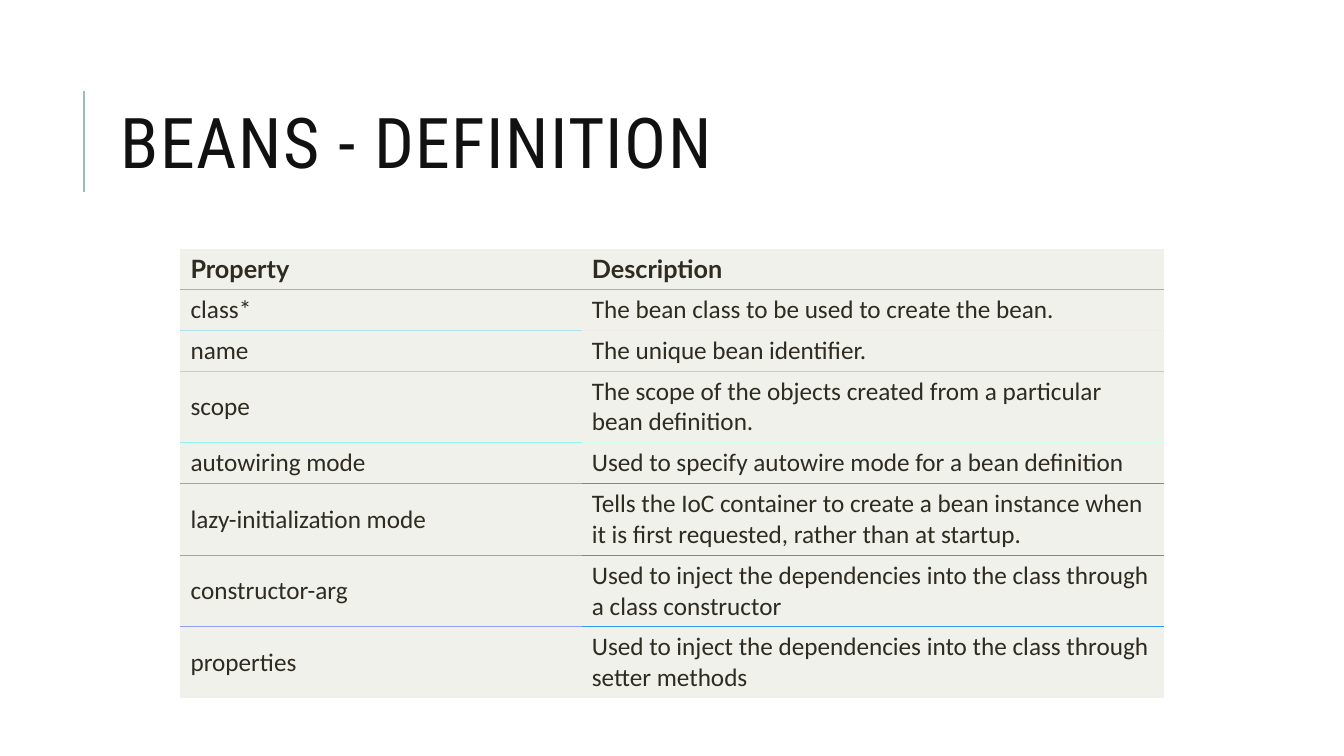
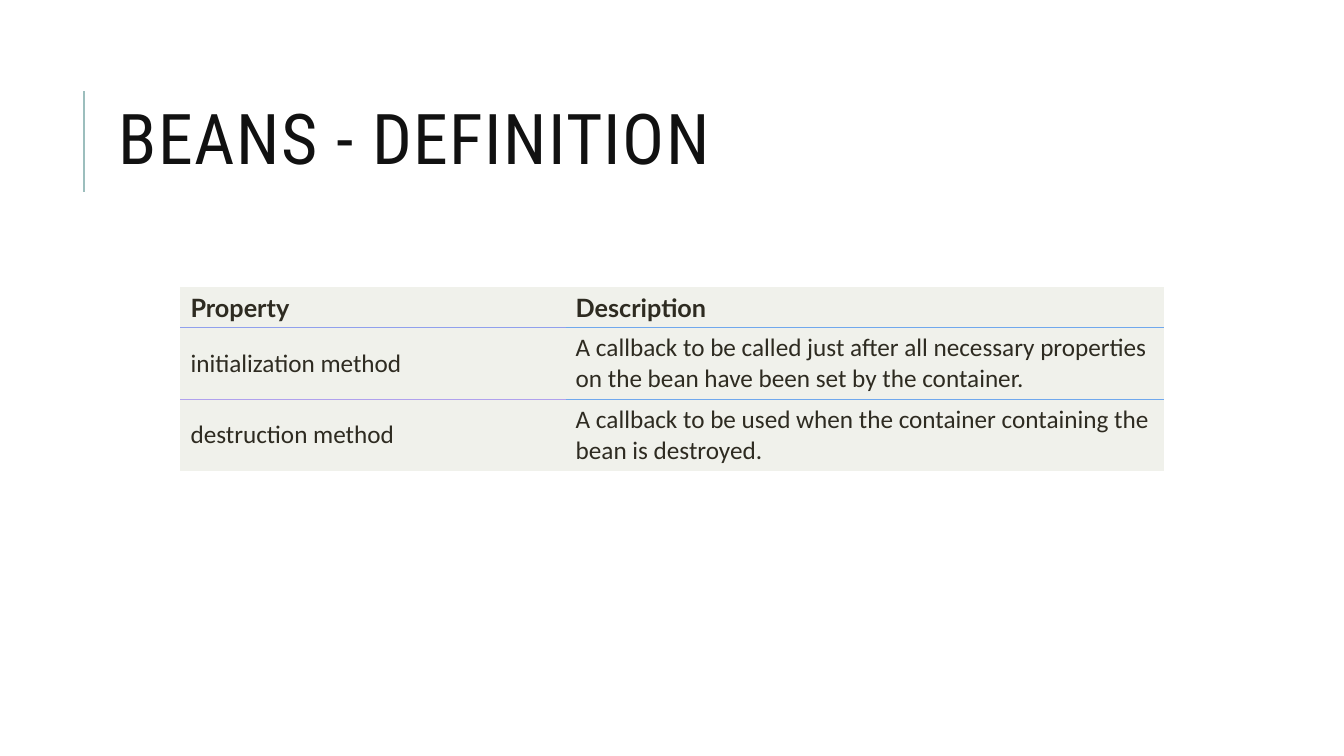
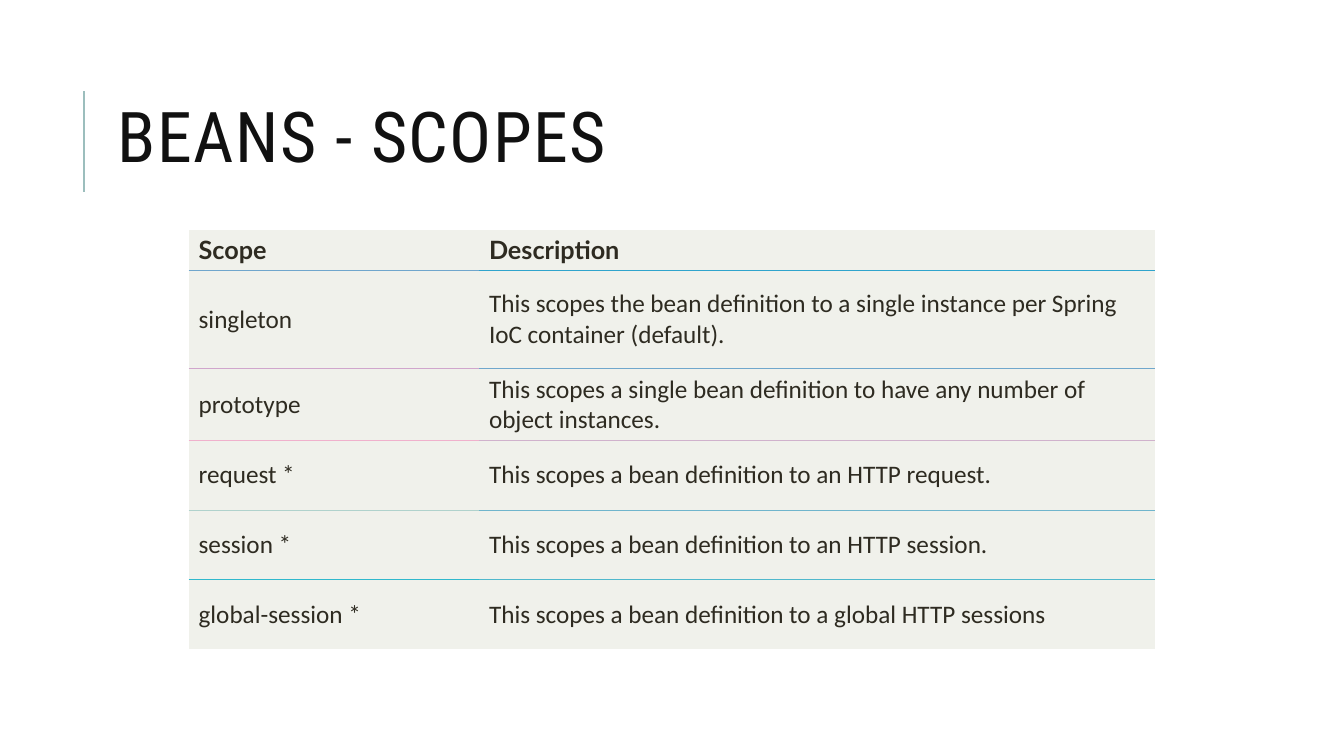
from lxml.etree import SubElement
from pptx import Presentation
from pptx.dml.color import RGBColor
from pptx.enum.shapes import MSO_CONNECTOR
from pptx.enum.text import MSO_ANCHOR, MSO_AUTO_SIZE, PP_ALIGN
from pptx.oxml import parse_xml
from pptx.oxml.ns import nsdecls, qn
from pptx.util import Inches, Pt

COLORS = {"title": "111111", "text": "2E2B21", "cell": "F0F1EB", "bar": "9CBEBD"}
TITLE_FONT, HEADER_FONT, BODY_FONT = "Roboto Condensed", "Lato", "Calibri"
NO_STYLE = "{2D5ABB26-0587-4C30-8999-92F81FD0307C}"
ONE_LINE, TWO_LINES = 0.4, 0.71

# "rules" holds the left and right colour of the line below each row but the last.
SLIDES = [
    {
        "title": "BEANS - DEFINITION",
        "title_at": (1.1, 1.02),
        "table_at": (1.79, 2.47),
        "columns": (3.98, 5.77),
        "rows": [
            (ONE_LINE, "Property", "Description"),
            (ONE_LINE, "class*", "The bean class to be used to create the bean."),
            (ONE_LINE, "name", "The unique bean identifier."),
            (TWO_LINES, "scope",
             "The scope of the objects created from a particular bean definition."),
            (ONE_LINE, "autowiring mode",
             "Used to specify autowire mode for a bean definition"),
            (TWO_LINES, "lazy-initialization mode",
             "Tells the IoC container to create a bean instance when it is first "
             "requested, rather than at startup."),
            (TWO_LINES, "constructor-arg",
             "Used to inject the dependencies into the class through a class constructor"),
            (TWO_LINES, "properties",
             "Used to inject the dependencies into the class through setter methods"),
        ],
        "rules": [
            ("30E2EC", "30E2EC"), ("B0E1EC", "F0EAEC"), ("70F5EC", "70F1EC"),
            ("90F5EC", "D0FFEC"), ("909EED", "309CED"), ("909EED", "309CED"),
            ("909EED", "309CED"),
        ],
    },
    {
        "title": "BEANS - DEFINITION",
        "title_at": (1.08, 0.98),
        "table_at": (1.79, 2.85),
        "columns": (3.82, 5.93),
        "rows": [
            (ONE_LINE, "Property", "Description"),
            (TWO_LINES, "initialization method",
             "A callback to be called just after all necessary properties on the bean "
             "have been set by the container."),
            (TWO_LINES, "destruction method",
             "A callback to be used when the container containing the bean is destroyed."),
        ],
        "rules": [("90A0ED", "70A8ED"), ("B0A1ED", "70A8ED")],
    },
    {
        "title": "BEANS - SCOPES",
        "title_at": (1.07, 0.96),
        "table_at": (1.87, 2.28),
        "columns": (2.88, 6.71),
        "rows": [
            (0.39, "Scope", "Description"),
            (0.98, "singleton",
             "This scopes the bean definition to a single instance per Spring IoC "
             "container (default)."),
            (0.69, "prototype",
             "This scopes a single bean definition to have any number of object instances."),
            (0.69, "request *", "This scopes a bean definition to an HTTP request."),
            (0.69, "session *", "This scopes a bean definition to an HTTP session."),
            (0.69, "global-session *",
             "This scopes a bean definition to a global HTTP sessions"),
        ],
        "rules": [
            ("70A6CC", "30A4CC"), ("D0A6CC", "70A7CC"), ("F0B1CC", "D0B2CC"),
            ("B0D2CC", "70B5CC"), ("30B8CC", "50B8CC"),
        ],
    },
]


def rgb(name):
    return RGBColor.from_string(COLORS[name])


def add_bar(slide):
    bar = slide.shapes.add_connector(
        MSO_CONNECTOR.STRAIGHT, Inches(0.83), Inches(1.9), Inches(0.83), Inches(0.9))
    bar.line.color.rgb = rgb("bar")
    bar.line.width = Pt(1.5)
    SubElement(bar._element.spPr, qn("a:effectLst"))


def set_title(slide, text, at):
    title = slide.shapes.title
    title.left, title.top = map(Inches, at)
    title.width, title.height = Inches(10.63), Inches(1.64)
    tf = title.text_frame
    tf.text = text
    tf.auto_size = MSO_AUTO_SIZE.NONE
    tf.vertical_anchor = MSO_ANCHOR.TOP
    tf.margin_top = Inches(0.12)
    p = tf.paragraphs[0]
    p.alignment = PP_ALIGN.LEFT
    p.line_spacing = 0.8
    p.font.name, p.font.size = TITLE_FONT, Pt(50)
    p.font.color.rgb = rgb("title")
    p.runs[0].font._element.set("spc", "100")


def set_border(cell, side, color):
    """Put a thin line on a cell; call for lnT before lnB, and before filling."""
    cell._tc.get_or_add_tcPr().append(parse_xml(
        f'<a:{side} {nsdecls("a")} w="{Pt(0.75)}"><a:solidFill>'
        f'<a:srgbClr val="{color}"/></a:solidFill></a:{side}>'))


def format_cell(cell, text, is_header):
    cell.fill.solid()
    cell.fill.fore_color.rgb = rgb("cell")
    cell.vertical_anchor = MSO_ANCHOR.MIDDLE
    cell.text = text
    font = cell.text_frame.paragraphs[0].font
    font.name = HEADER_FONT if is_header else BODY_FONT
    font.size, font.bold = Pt(18), is_header
    font.color.rgb = rgb("text")


def add_property_table(slide, at, columns, rows, rules):
    left, top = map(Inches, at)
    frame = slide.shapes.add_table(
        len(rows), len(columns), left, top,
        Inches(sum(columns)), Inches(sum(row[0] for row in rows)))
    table = frame.table
    table.horz_banding = False
    table._tbl.tblPr.find(qn("a:tableStyleId")).text = NO_STYLE
    for column, width in zip(table.columns, columns):
        column.width = Inches(width)
    for r, (height, *texts) in enumerate(rows):
        table.rows[r].height = Inches(height)
        for c, text in enumerate(texts):
            cell = table.cell(r, c)
            if r > 0:
                set_border(cell, "lnT", rules[r - 1][c])
            if r < len(rules):
                set_border(cell, "lnB", rules[r][c])
            format_cell(cell, text, is_header=r == 0)


def main():
    prs = Presentation()
    prs.slide_width, prs.slide_height = Inches(13.33), Inches(7.5)
    for content in SLIDES:
        slide = prs.slides.add_slide(prs.slide_layouts.get_by_name("Title Only"))
        add_bar(slide)
        set_title(slide, content["title"], content["title_at"])
        add_property_table(slide, content["table_at"], content["columns"],
                           content["rows"], content["rules"])
    prs.save("out.pptx")


if __name__ == "__main__":
    main()
